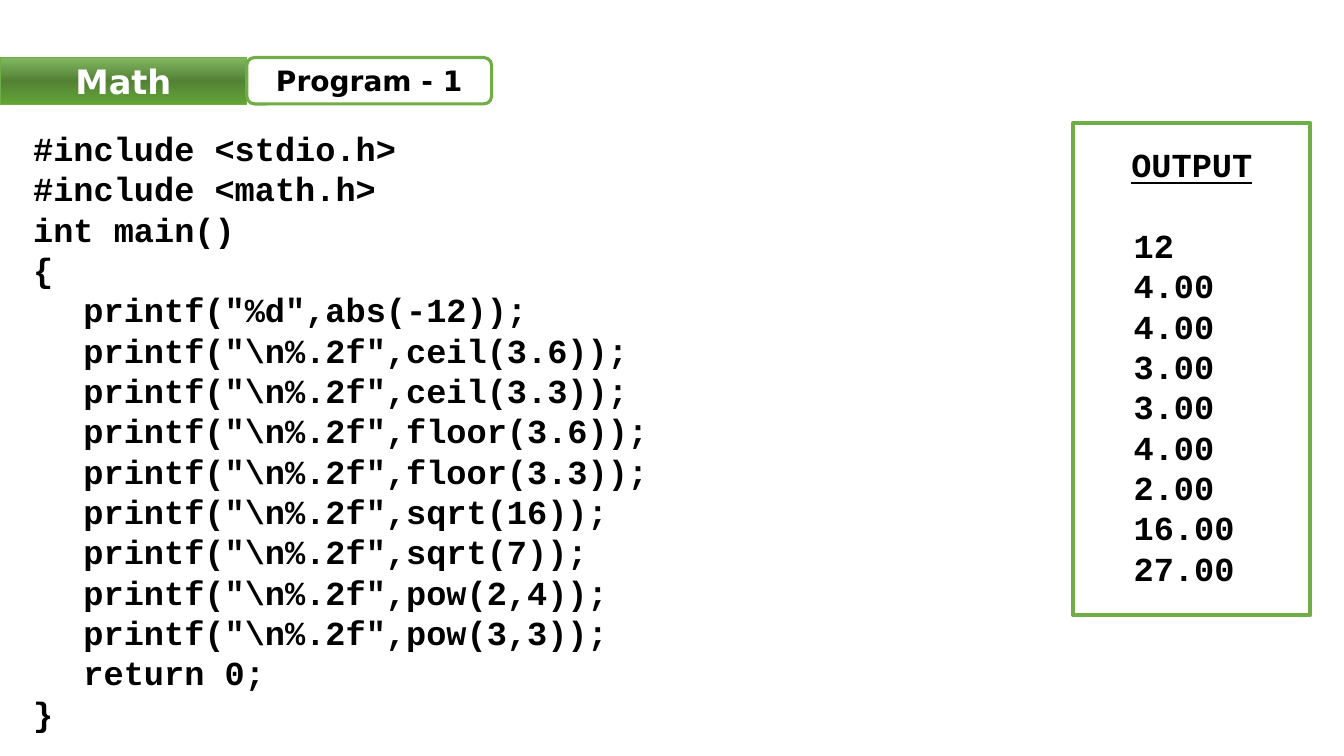
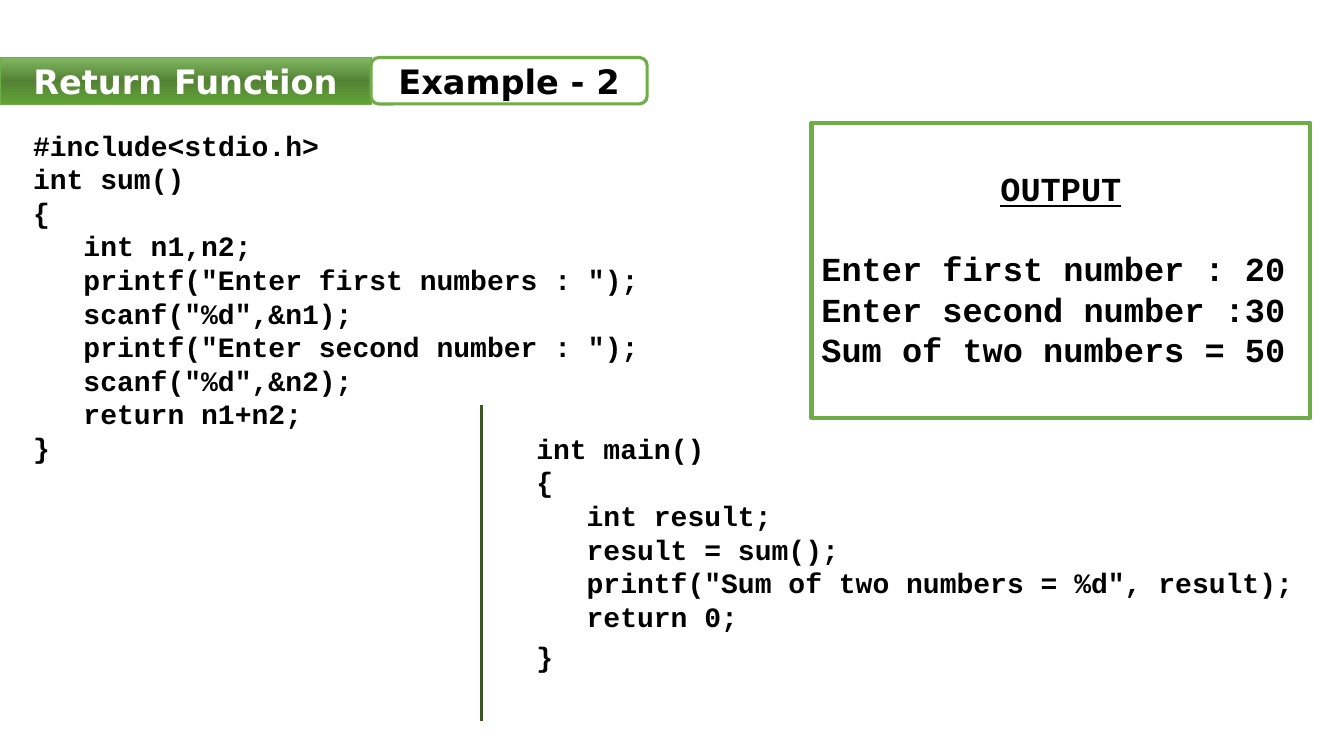
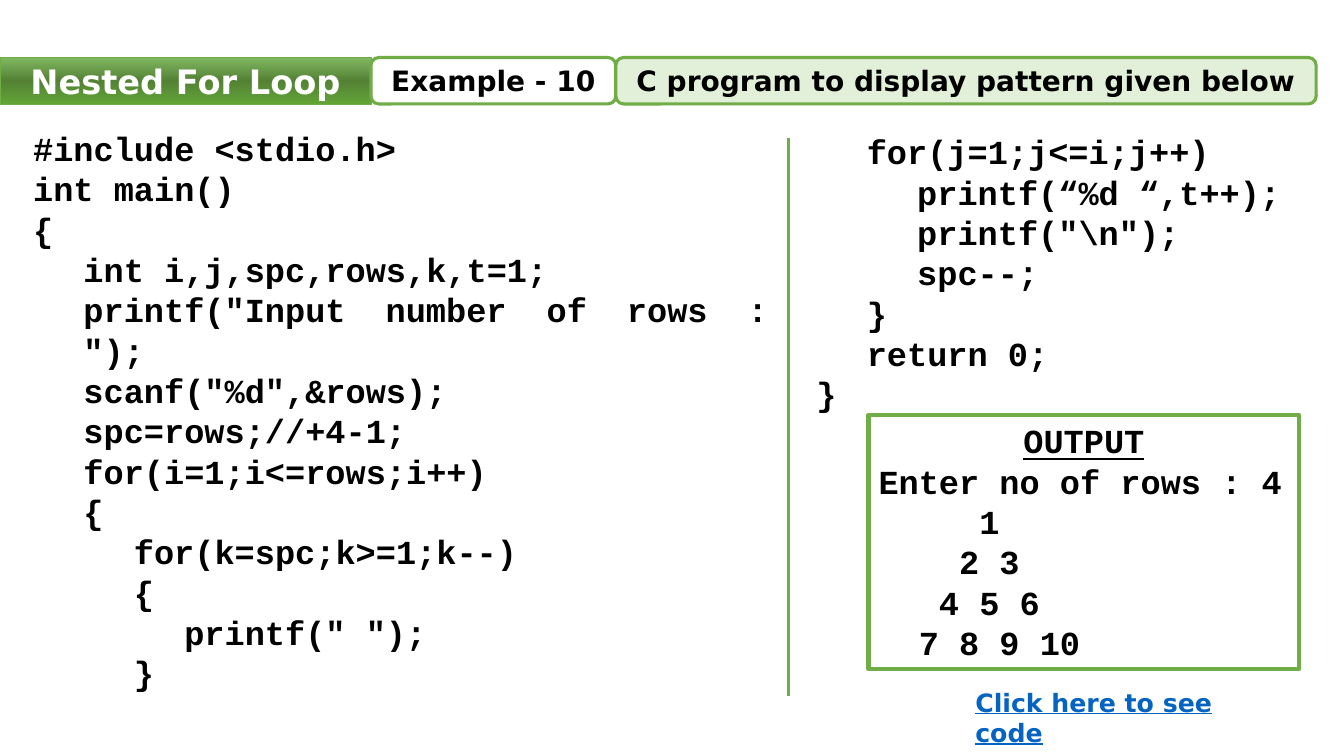
from copy import deepcopy
from dataclasses import dataclass

from lxml import etree
from pptx import Presentation
from pptx import util as u
from pptx.dml.color import RGBColor
from pptx.enum import shapes, text
from pptx.oxml.ns import qn


@dataclass(frozen=True)
class Theme:
    code_font: str = "Courier New"
    label_font: str = "DejaVu Sans"
    ink: str = "000000"
    white: str = "FFFFFF"
    green: str = "70AD47"
    dark_green: str = "385723"
    pale_green: str = "E2F0D9"
    link: str = "0563C1"
    band: tuple = ((0, "81B861"), (0.5, "548235"), (1, "62A336"))
    large: int = 24
    medium: int = 20
    small: int = 18


THEME = Theme()
LEFT, CENTER, JUSTIFY = (
    text.PP_ALIGN.LEFT, text.PP_ALIGN.CENTER, text.PP_ALIGN.JUSTIFY)
BAND_TOP, BAND_HEIGHT = 1.45, 1.17
CONTENT_TOP = 3.1
INDENT = 1.27  # one code level; four spaces in the listings below
TITLE_AND_CONTENT, TWO_CONTENT = 1, 3

# Content: boxes are (left, top, width, height) in centimetres
MATH_CODE = r"""#include <stdio.h>
#include <math.h>
int main()
{
    printf("%d",abs(-12));
    printf("\n%.2f",ceil(3.6));
    printf("\n%.2f",ceil(3.3));
    printf("\n%.2f",floor(3.6));
    printf("\n%.2f",floor(3.3));
    printf("\n%.2f",sqrt(16));
    printf("\n%.2f",sqrt(7));
    printf("\n%.2f",pow(2,4));
    printf("\n%.2f",pow(3,3));
    return 0;
}"""

SUM_CODE = r"""#include<stdio.h>
int sum()
{
    int n1,n2;
    printf("Enter first numbers : ");
    scanf("%d",&n1);
    printf("Enter second number : ");
    scanf("%d",&n2);
    return n1+n2;
}"""

SUM_MAIN_CODE = r"""int main()
{
    int result;
    result = sum();
    printf("Sum of two numbers = %d", result);
    return 0;
}"""

LOOP_CODE = r"""#include <stdio.h>
int main()
{
    int i,j,spc,rows,k,t=1;
    printf("Input number of rows : ");
    scanf("%d",&rows);
    spc=rows;//+4-1;
    for(i=1;i<=rows;i++)
    {
        for(k=spc;k>=1;k--)
        {
            printf(" ");
        }"""

LOOP_END_CODE = r"""    for(j=1;j<=i;j++)
        printf(“%d “,t++);
        printf("\n");
        spc--;
    }
    return 0;
}"""

SLIDES = [
    dict(
        title=("Math", 6.22),
        tags=[("Program - 1", 6.17, THEME.medium, THEME.white)],
        code=[dict(source=MATH_CODE, size=THEME.large,
                   box=(0.58, CONTENT_TOP, 32.59, 15.65))],
        output=dict(box=(27.05, CONTENT_TOP, 5.97, 12.4), inset=0.53, gap=29, level=1,
                    lines=["12", "4.00", "4.00", "3.00", "3.00", "4.00", "2.00",
                           "16.00", "27.00"]),
    ),
    dict(
        title=("Return Function", 9.35),
        tags=[("Example - 2", 6.96, THEME.large, THEME.white)],
        code=[dict(source=SUM_CODE, size=THEME.medium,
                   box=(0.58, CONTENT_TOP, 16.18, 8.81)),
              dict(source=SUM_MAIN_CODE, size=THEME.medium, last_gap=5,
                   box=(13.26, 10.74, 19.74, 6.4))],
        output=dict(box=(20.45, CONTENT_TOP, 12.57, 7.44), inset=1.12, gap=29, level=0,
                    lines=["Enter first number : 20", "Enter second number :30",
                           "Sum of two numbers = 50"]),
        divider=(12.14, 10.21, 18.16, THEME.dark_green),
    ),
    dict(
        title=("Nested For Loop", 9.35),
        tags=[("Example - 10", 6.17, THEME.medium, THEME.white),
              ("C program to display pattern given below", 17.65,
               THEME.medium, THEME.pale_green)],
        code=[dict(source=LOOP_CODE, size=THEME.large,
                   box=(0.58, CONTENT_TOP, 19.02, 14.83)),
              dict(source=LOOP_END_CODE, size=THEME.large,
                   box=(20.32, 3.18, 12.85, 7.44))],
        output=dict(box=(21.89, 10.46, 10.85, 6.4), inset=0.13, gap=0, level=0,
                    lines=["Enter no of rows : 4", "     1", "    2 3", "   4 5 6",
                           "  7 8 9 10"]),
        divider=(19.86, 3.48, 17.55, THEME.green),
        link=("Click here to see code", (24.33, 17.2, 8.38, 1.02)),
    ),
]


# Formatting helpers
def apply(target, values):
    for name, value in values.items():
        setattr(target, name, value)


def lengths(box):
    return [u.Cm(value) for value in box]


def place(shape, box):
    apply(shape, dict(zip(("left", "top", "width", "height"), lengths(box))))


def set_frame(shape, anchor=text.MSO_ANCHOR.TOP, **values):
    apply(shape.text_frame, dict(
        word_wrap=True, auto_size=text.MSO_AUTO_SIZE.NONE,
        vertical_anchor=anchor, **values))


def write(shape, lines):
    """Each line is (text, level, alignment, space before, font values)."""
    frame = shape.text_frame
    for index, (words, level, alignment, gap, font) in enumerate(lines):
        paragraph = frame.add_paragraph() if index else frame.paragraphs[0]
        properties = paragraph._p.get_or_add_pPr()
        properties.set("marL", str(u.Cm(INDENT * level)))
        properties.set("indent", "0")
        etree.SubElement(properties, qn("a:buNone"))
        apply(paragraph, dict(alignment=alignment, level=level,
                              space_before=u.Pt(gap), space_after=u.Pt(0)))
        run = paragraph.add_run()
        run.text = words
        apply(run.font, {"bold": True, **font})


def style(run_font, size, color, **extra):
    return dict(name=run_font, size=u.Pt(size), color_hex=color, **extra)


def font_values(values):
    return {name: value for name, value in values.items() if name != "color_hex"}


def write_styled(shape, lines):
    write(shape, [(*line[:4], font_values(line[4])) for line in lines])
    for paragraph, line in zip(shape.text_frame.paragraphs, lines):
        color = RGBColor.from_string(line[4]["color_hex"])
        paragraph.runs[0].font.color.rgb = color


def outline(shape, color, width):
    shape.line.color.rgb = RGBColor.from_string(color)
    shape.line.width = u.Pt(width)


def fill_band(shape):
    shape.fill.gradient()
    stops = shape._element.spPr.find(qn("a:gradFill")).find(qn("a:gsLst"))
    stops.append(deepcopy(stops[0]))
    for stop, (position, color) in zip(shape.fill.gradient_stops, THEME.band):
        stop.position = position
        stop.color.rgb = RGBColor.from_string(color)
    shape.fill.gradient_angle = 270


def add_box(slide, kind, box, line_width, fill=None):
    shape = slide.shapes.add_shape(kind, *lengths(box))
    shape.shadow.inherit = False
    if fill:
        shape.fill.solid()
        shape.fill.fore_color.rgb = RGBColor.from_string(fill)
    else:
        shape.fill.background()
    outline(shape, THEME.green, line_width)
    return shape


# Slide parts
def add_header(slide, title, tags):
    words, left = title
    band = slide.shapes.title
    place(band, (0, BAND_TOP, left, BAND_HEIGHT))
    fill_band(band)
    outline(band, THEME.green, 0.5)
    set_frame(band, text.MSO_ANCHOR.MIDDLE)
    write_styled(band, [(words, 0, CENTER, 0,
                         style(THEME.label_font, THEME.large, THEME.white))])
    for words, width, size, fill in tags:
        tag = add_box(slide, shapes.MSO_SHAPE.ROUNDED_RECTANGLE,
                      (left, BAND_TOP, width, BAND_HEIGHT), 2.25, fill)
        set_frame(tag, text.MSO_ANCHOR.MIDDLE)
        write_styled(tag, [(words, 0, CENTER, 0,
                            style(THEME.label_font, size, THEME.ink))])
        left += width


def fill_code(placeholder, source, size, box, last_gap=0):
    place(placeholder, box)
    set_frame(placeholder)
    font = style(THEME.code_font, size, THEME.ink)
    rows = source.splitlines()
    lines = []
    for number, row in enumerate(rows, 1):
        words = row.lstrip()
        level = (len(row) - len(words)) // 4
        gap = last_gap if number == len(rows) else 0
        lines.append((words, level, JUSTIFY, gap, font))
    write_styled(placeholder, lines)


def add_output(slide, box, inset, gap, level, lines):
    shape = add_box(slide, shapes.MSO_SHAPE.RECTANGLE, box, 3)
    set_frame(shape, margin_top=u.Cm(inset))
    font = style(THEME.code_font, THEME.large, THEME.ink)
    heading = ("OUTPUT", 0, CENTER, 0, {**font, "underline": True})
    results = [(line, level, LEFT, 0 if index else gap, font)
               for index, line in enumerate(lines)]
    write_styled(shape, [heading, *results])


def add_divider(slide, x, top, bottom, color):
    line = slide.shapes.add_connector(
        shapes.MSO_CONNECTOR.STRAIGHT, *lengths((x, top, x, bottom)))
    outline(line, color, 2.25)
    etree.SubElement(line._element.spPr, qn("a:effectLst"))


def add_link_label(slide, words, box):
    label = slide.shapes.add_textbox(*lengths(box))
    set_frame(label)
    font = style(THEME.label_font, THEME.small, THEME.link, underline=True)
    write_styled(label, [(words, 0, LEFT, 0, font)])


def main():
    presentation = Presentation()
    presentation.slide_width, presentation.slide_height = lengths((33.87, 19.05))
    for content in SLIDES:
        layout = TWO_CONTENT if len(content["code"]) == 2 else TITLE_AND_CONTENT
        slide = presentation.slides.add_slide(presentation.slide_layouts[layout])
        for index, code in enumerate(content["code"], 1):
            fill_code(slide.placeholders[index], **code)
        add_header(slide, content["title"], content["tags"])
        add_output(slide, **content["output"])
        if "divider" in content:
            add_divider(slide, *content["divider"])
        if "link" in content:
            add_link_label(slide, *content["link"])
    presentation.save("out.pptx")


if __name__ == "__main__":
    main()
